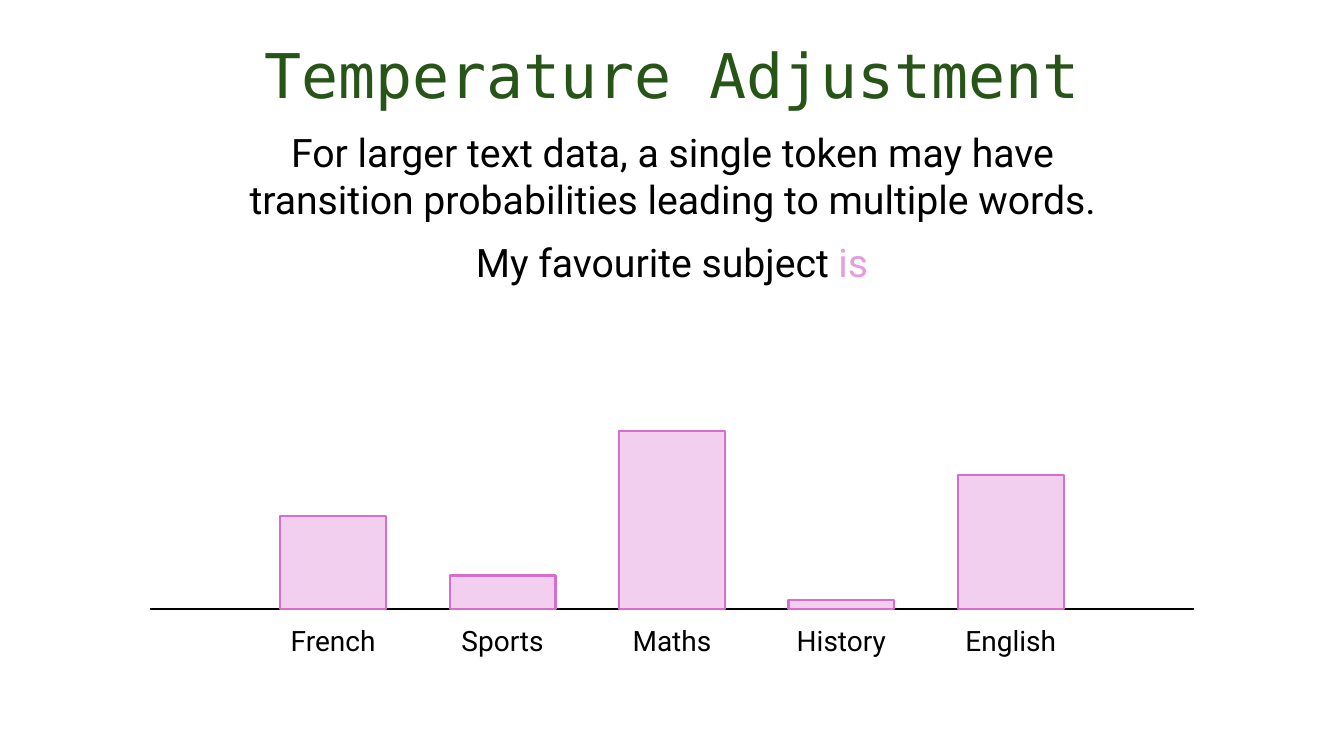
from dataclasses import dataclass

from lxml.etree import SubElement
from pptx import Presentation
from pptx.dml.color import RGBColor
from pptx.enum.shapes import MSO_CONNECTOR, MSO_SHAPE
from pptx.enum.text import PP_ALIGN
from pptx.oxml.ns import qn
from pptx.slide import Slide
from pptx.text.text import _Paragraph as Para
from pptx.util import Emu, Pt

PX = 9144  # EMU per px, 100 px to the inch

COLORS = {
    "title": "275417",
    "text": "000000",
    "token": "E59EDD",
    "fill": "F2CFEE",
    "edge": "D86ECC",
}
SANS = "Roboto"
MONO = "DejaVu Sans Mono"

BASE = 604  # y of the axis
FIRST = 278  # left edge of the first bar
WIDTH = 105
PITCH = 168
LABEL = 126


@dataclass
class Bar:
    name: str
    height: int


BARS = [
    Bar("French", 92),
    Bar("Sports", 33),
    Bar("Maths", 176),
    Bar("History", 9),
    Bar("English", 133),
]


def px(size: float) -> Emu:
    return Emu(round(size * PX))


def color(name: str) -> RGBColor:
    return RGBColor.from_string(COLORS[name])


def add_text(slide: Slide, text: str, x: float, y: int, w: int, h: int,
             size: int, font: str = SANS, tint: str = "text") -> Para:
    """Add a centred text box and return its paragraph."""
    box = slide.shapes.add_textbox(px(x), px(y), px(w), px(h))
    frame = box.text_frame
    frame.word_wrap = True
    frame.text = text
    para = frame.paragraphs[0]
    para.alignment = PP_ALIGN.CENTER
    style = para.runs[0].font
    style.size, style.name = Pt(size), font
    style.color.rgb = color(tint)
    return para


def add_axis(slide: Slide) -> None:
    axis = slide.shapes.add_connector(
        MSO_CONNECTOR.STRAIGHT, px(149), px(BASE), px(1184), px(BASE))
    axis.line.color.rgb = color("text")
    axis.line.width = Pt(1.5)
    SubElement(axis._element.spPr, qn("a:effectLst"))


def add_bar(slide: Slide, bar: Bar, left: int) -> None:
    """Add a bar standing on the axis, with its label below."""
    shape = slide.shapes.add_shape(
        MSO_SHAPE.RECTANGLE, px(left), px(BASE - bar.height),
        px(WIDTH), px(bar.height))
    shape.shadow.inherit = False
    shape.fill.solid()
    shape.fill.fore_color.rgb = color("fill")
    shape.line.color.rgb = color("edge")
    shape.line.width = Pt(1.5)
    add_text(slide, bar.name, left + (WIDTH - LABEL) / 2, BASE + 10,
             LABEL, 44, 20)


def main() -> None:
    deck = Presentation()
    deck.slide_width, deck.slide_height = px(1333), px(750)
    slide = deck.slides.add_slide(deck.slide_layouts[6])

    title = add_text(slide, "Temperature Adjustment", 92, 40, 1150, 145,
                     44, MONO, "title")
    title.line_spacing = 0.9
    add_text(slide, "For larger text data, a single token may have "
             "transition probabilities leading to multiple words.",
             226, 122, 882, 104, 28)
    prompt = add_text(slide, "My favourite subject ", 434, 232, 465, 57, 28)
    token = prompt.add_run()
    token.text = "is"
    token.font.size, token.font.name = Pt(28), SANS
    token.font.color.rgb = color("token")

    add_axis(slide)
    for i, bar in enumerate(BARS):
        add_bar(slide, bar, FIRST + i * PITCH)
    deck.save("out.pptx")


if __name__ == "__main__":
    main()
